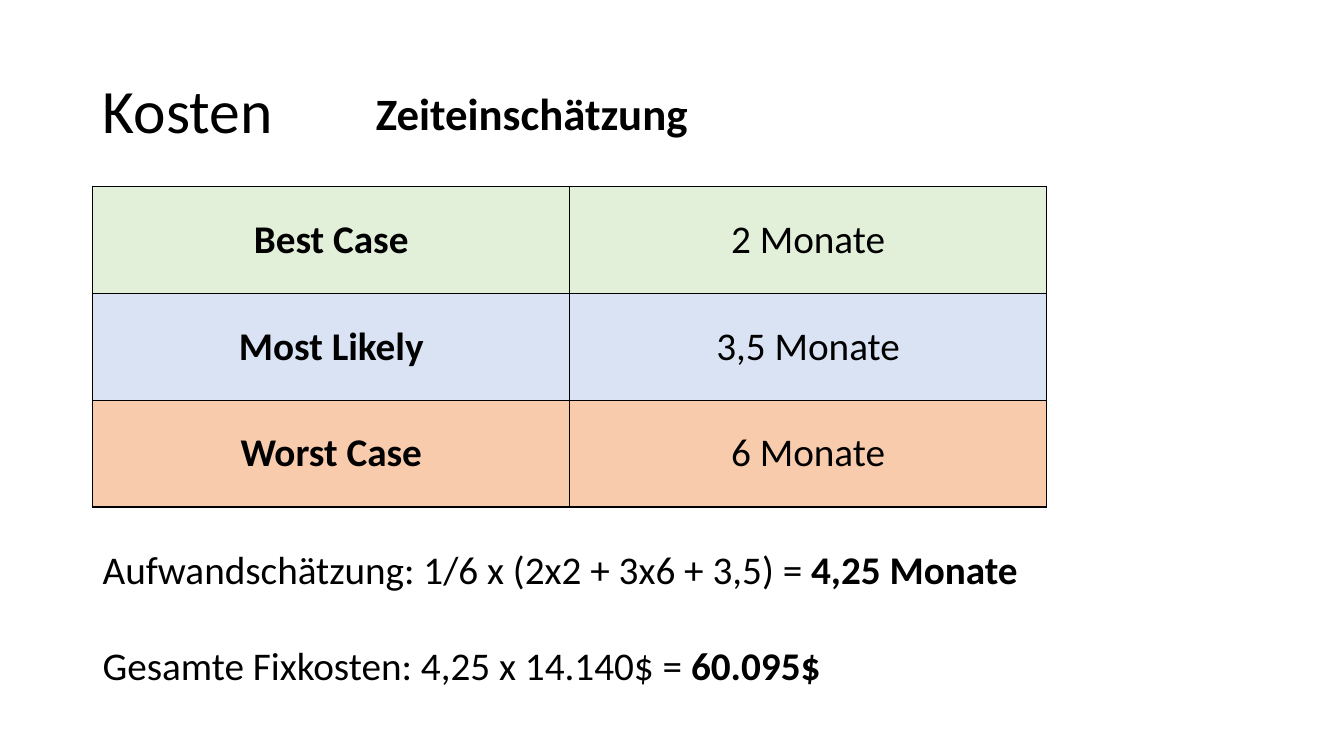
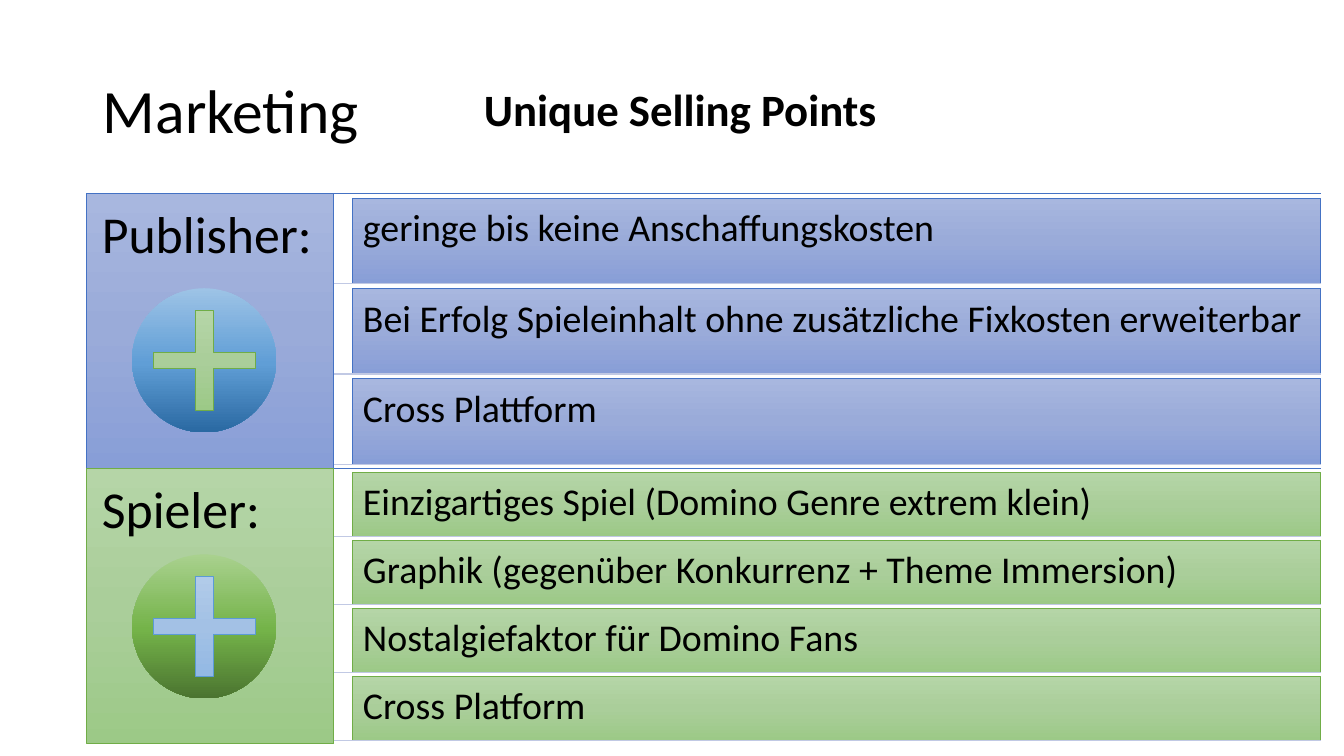
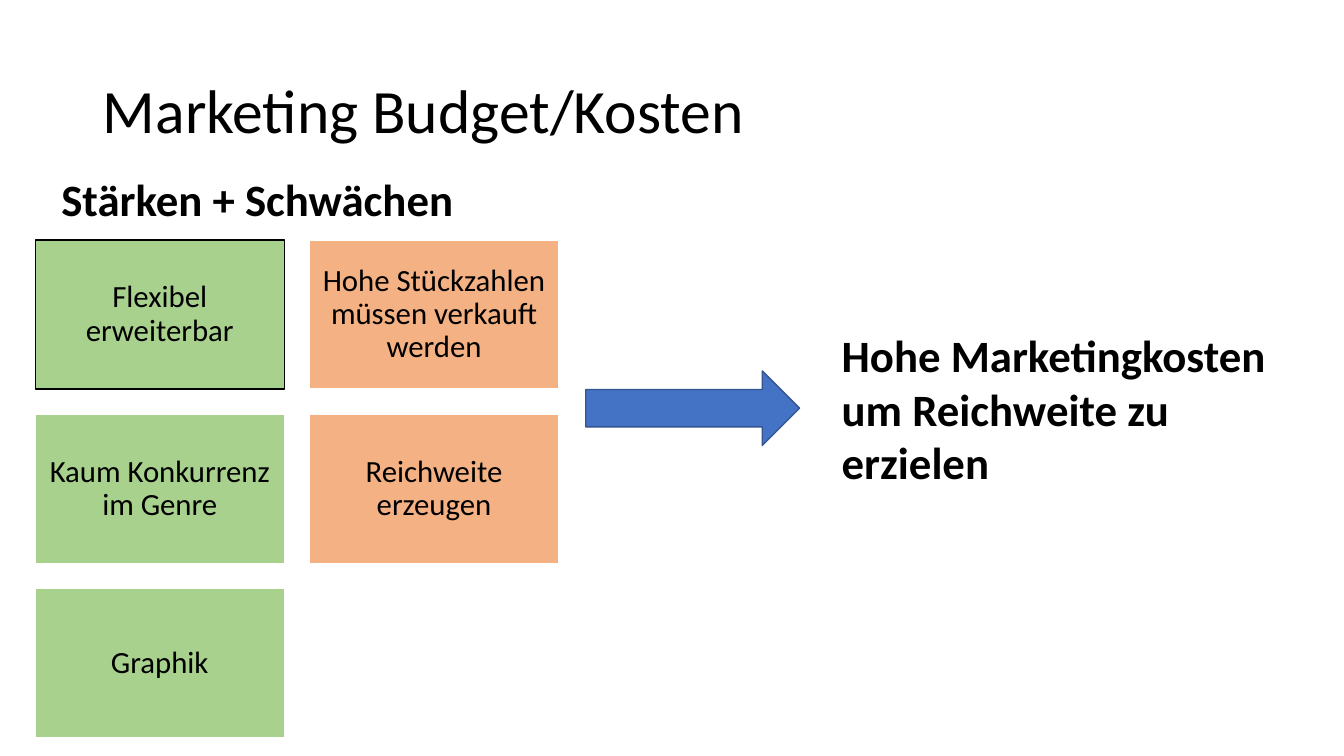
from copy import deepcopy
from dataclasses import dataclass

from lxml import etree
from pptx import Presentation
from pptx.dml.color import RGBColor
from pptx.enum.shapes import MSO_CONNECTOR, MSO_SHAPE
from pptx.enum.text import MSO_ANCHOR, MSO_AUTO_SIZE, PP_ALIGN
from pptx.oxml.ns import qn
from pptx.util import Inches, Pt

RECTANGLE, OVAL = MSO_SHAPE.RECTANGLE, MSO_SHAPE.OVAL
CROSS, RIGHT_ARROW = MSO_SHAPE.CROSS, MSO_SHAPE.RIGHT_ARROW
STRAIGHT = MSO_CONNECTOR.STRAIGHT
TOP, MIDDLE = MSO_ANCHOR.TOP, MSO_ANCHOR.MIDDLE
LEFT, CENTER = PP_ALIGN.LEFT, PP_ALIGN.CENTER
FIXED, GROW = MSO_AUTO_SIZE.NONE, MSO_AUTO_SIZE.SHAPE_TO_FIT_TEXT
TITLE_AND_BODY, TITLE_ONLY = 1, 5


@dataclass(frozen=True)
class Theme:
    font: str = "Calibri"
    text: str = "000000"
    white: str = "FFFFFF"
    best: str = "E2F0D9"
    likely: str = "DAE3F3"
    worst: str = "F8CBAD"
    strength: str = "A9D18E"
    weakness: str = "F4B183"
    blue: str = "4472C4"
    dark_blue: str = "325491"
    sky: str = "5B9BD5"
    green: str = "70AD47"
    divider: str = "C1C9E4"
    # Gradients run from top to bottom as (percent, colour).
    blue_fade: tuple = ((0, "A8B7DF"), (50, "9AABD9"), (100, "889ED7"))
    green_fade: tuple = ((0, "B5D5A7"), (50, "AACE9A"), (100, "9CC987"))
    sky_fade: tuple = ((0, "B1CBE9"), (50, "A3C1E5"), (100, "93B9E4"))
    blue_ball: tuple = ((0, "9DC3E6"), (52, "609ED6"), (100, "2A69A2"))
    green_ball: tuple = ((0, "A9D18E"), (52, "74B349"), (100, "4B7430"))
    title_size: float = 44
    tab_size: float = 37
    heading_size: float = 32
    body_size: float = 28
    bar_size: float = 27
    card_size: float = 22


def rgb(colour):
    return RGBColor.from_string(colour)


def place(shape, left, top, width, height):
    shape.left, shape.top = Inches(left), Inches(top)
    shape.width, shape.height = Inches(width), Inches(height)


class Deck:
    def __init__(self, theme):
        self.theme = theme
        self.prs = Presentation()
        self.prs.slide_width, self.prs.slide_height = Inches(13.33), Inches(7.5)
        self.slide = None

    def start(self, title, layout=TITLE_ONLY):
        """Add a slide and set its title."""
        self.slide = self.prs.slides.add_slide(self.prs.slide_layouts[layout])
        heading = self.slide.shapes.title
        place(heading, 0.92, 0.4, 11.5, 1.45)
        self.set_text(heading.text_frame, title, self.theme.title_size,
                      anchor=MIDDLE, spacing=0.9)

    def set_text(self, frame, text, size, bold=False, result="", align=LEFT,
                 anchor=TOP, spacing=1.0, inset=None, fit=FIXED):
        """Fill a frame with one paragraph; result is a bold ending."""
        frame.word_wrap, frame.auto_size = True, fit
        frame.vertical_anchor = anchor
        if inset is not None:
            frame.margin_left = frame.margin_right = Inches(inset)
            frame.margin_top = frame.margin_bottom = Inches(inset)
        frame.text = text
        paragraph = frame.paragraphs[0]
        paragraph.alignment, paragraph.line_spacing = align, spacing
        paragraph.space_before = Pt(0)
        if result:
            paragraph.add_run().text = result
        for index, run in enumerate(paragraph.runs):
            self.style(run.font, size, bold or index > 0)

    def style(self, font, size, bold):
        font.name, font.size, font.bold = self.theme.font, Pt(size), bold
        font.color.rgb = rgb(self.theme.text)

    def body_heading(self, text, left, top, width, height):
        """Use the body placeholder as a heading without a bullet."""
        body = self.slide.placeholders[1]
        place(body, left, top, width, height)
        self.set_text(body.text_frame, text, self.theme.heading_size, bold=True, spacing=0.9)
        properties = body.text_frame.paragraphs[0]._p.get_or_add_pPr()
        properties.set("marL", "0")
        properties.set("indent", "0")
        etree.SubElement(properties, qn("a:buNone"))

    def text_box(self, text, left, top, width, height, size, bold=False, result=""):
        box = self.slide.shapes.add_textbox(0, 0, 0, 0)
        place(box, left, top, width, height)
        self.set_text(box.text_frame, text, size, bold, result, fit=GROW)

    def heading(self, text, left, top, height=0.64):
        self.text_box(text, left, top, 4.77, height, self.theme.heading_size, bold=True)

    def shape(self, kind, left, top, width, height, fill, line=None, weight=1):
        """Add a shape; fill is one colour or a tuple of gradient stops."""
        shape = self.slide.shapes.add_shape(kind, 0, 0, 0, 0)
        place(shape, left, top, width, height)
        shape.shadow.inherit = False
        if isinstance(fill, str):
            shape.fill.solid()
            shape.fill.fore_color.rgb = rgb(fill)
        else:
            self.fade(shape, fill)
        if line:
            shape.line.color.rgb = rgb(line)
            shape.line.width = Pt(weight)
        else:
            shape.line.fill.background()
        return shape

    def fade(self, shape, stops):
        shape.fill.gradient()
        shape.fill.gradient_angle = 270
        stop_list = shape._element.spPr.find(".//" + qn("a:gsLst"))
        stop_list.insert(1, deepcopy(stop_list[0]))
        for stop, (percent, colour) in zip(shape.fill.gradient_stops, stops):
            stop.color.rgb = rgb(colour)
            stop.position = percent / 100

    def rule(self, left, right, y, colour):
        line = self.slide.shapes.add_connector(
            STRAIGHT, Inches(left), Inches(y), Inches(right), Inches(y))
        line.line.color.rgb = rgb(colour)
        line.line.width = Pt(1)
        etree.SubElement(line._element.spPr, qn("a:effectLst"))

    def table(self, rows, left, top, column_width, row_height):
        """Add rows of (label, value, fill)."""
        table = self.slide.shapes.add_table(
            len(rows), 2, Inches(left), Inches(top),
            Inches(2 * column_width), Inches(len(rows) * row_height)).table
        table.first_row = table.horz_banding = False
        for row, (label, value, fill) in zip(table.rows, rows):
            row.height = Inches(row_height)
            for cell, text, bold in zip(row.cells, (label, value), (True, False)):
                cell.text = text
                cell.vertical_anchor = MIDDLE
                paragraph = cell.text_frame.paragraphs[0]
                paragraph.alignment = CENTER
                self.style(paragraph.runs[0].font, self.theme.body_size, bold)
                self.border(cell)
                cell.fill.solid()
                cell.fill.fore_color.rgb = rgb(fill)

    def border(self, cell):
        properties = cell._tc.get_or_add_tcPr()
        for side in ("a:lnL", "a:lnR", "a:lnT", "a:lnB"):
            edge = etree.SubElement(properties, qn(side), w=str(Pt(1)))
            fill = etree.SubElement(edge, qn("a:solidFill"))
            etree.SubElement(fill, qn("a:srgbClr"), val=self.theme.text)

    def selling_points(self, audience, points, top, fade, outline):
        """Add a tab for the audience and evenly spaced bars beside it."""
        left, tab_width, right, height = 0.86, 2.45, 13.1, 2.73
        bar_left, gap_share = 3.49, 0.05
        self.rule(left, right, top, self.theme.blue)
        tab = self.shape(RECTANGLE, left, top, tab_width, height, fade, outline, 0.5)
        self.set_text(tab.text_frame, audience, self.theme.tab_size, spacing=0.9, inset=0.15)
        pitch = height / (len(points) + gap_share)
        for index, point in enumerate(points):
            bar_top = top + (index + gap_share) * pitch
            bar = self.shape(RECTANGLE, bar_left, bar_top, right - bar_left,
                             pitch * (1 - gap_share), fade, outline, 0.5)
            self.set_text(bar.text_frame, point, self.theme.bar_size, spacing=0.9, inset=0.11)
            self.rule(left + tab_width, right, top + (index + 1) * pitch, self.theme.divider)

    def plus_badge(self, top, ball_fade, plus_fade, outline):
        self.shape(OVAL, 1.31, top, 1.43, 1.43, ball_fade)
        plus = self.shape(CROSS, 1.52, top + 0.22, 1.01, 0.99, plus_fade, outline, 0.5)
        plus.adjustments[0] = 0.42

    def card(self, text, left, top, fill, outline):
        card = self.shape(RECTANGLE, left, top, 2.47, 1.48, fill, outline)
        self.set_text(card.text_frame, text, self.theme.card_size, align=CENTER,
                      anchor=MIDDLE, spacing=0.9, inset=0.09)


def add_costs(deck):
    theme = deck.theme
    deck.start("Kosten")
    deck.table([("Best Case", "2 Monate", theme.best),
                ("Most Likely", "3,5 Monate", theme.likely),
                ("Worst Case", "6 Monate", theme.worst)], 0.92, 1.85, 4.73, 1.06)
    deck.heading("Zeiteinschätzung", 3.63, 0.8)
    estimates = [("Aufwandschätzung: 1/6 x (2x2 + 3x6 + 3,5) = ", "4,25 Monate"),
                 ("Gesamte Fixkosten: 4,25 x 14.140$ = ", "60.095$")]
    for index, (formula, result) in enumerate(estimates):
        deck.text_box(formula, 0.92, 5.36 + index * 0.95, 10.18, 0.57,
                      theme.body_size, result=result)


def add_marketing(deck):
    theme = deck.theme
    deck.start("Marketing", TITLE_AND_BODY)
    deck.body_heading("Unique Selling Points", 4.7, 0.82, 6.17, 0.62)
    deck.selling_points("Publisher:", [
        "geringe bis keine Anschaffungskosten",
        "Bei Erfolg Spieleinhalt ohne zusätzliche Fixkosten erweiterbar",
        "Cross Plattform",
    ], 1.92, theme.blue_fade, theme.blue)
    deck.selling_points("Spieler:", [
        "Einzigartiges Spiel (Domino Genre extrem klein)",
        "Graphik (gegenüber Konkurrenz + Theme Immersion)",
        "Nostalgiefaktor für Domino Fans",
        "Cross Platform",
    ], 4.65, theme.green_fade, theme.green)
    deck.plus_badge(2.86, theme.blue_ball, theme.green_fade, theme.green)
    deck.plus_badge(5.5, theme.green_ball, theme.sky_fade, theme.sky)


def add_budget(deck):
    theme = deck.theme
    deck.start("Marketing Budget/Kosten")
    strengths = ["Flexibel erweiterbar", "Kaum Konkurrenz im Genre", "Graphik"]
    weaknesses = ["Hohe Stückzahlen müssen verkauft werden", "Reichweite erzeugen"]
    columns = [(strengths, theme.strength), (weaknesses, theme.weakness)]
    for column, (points, fill) in enumerate(columns):
        for row, point in enumerate(points):
            outline = theme.text if row == column == 0 else theme.white
            deck.card(point, 0.35 + column * 2.72, 2.38 + row * 1.73, fill, outline)
    deck.heading("Stärken + Schwächen", 0.51, 1.65)
    deck.shape(RIGHT_ARROW, 5.81, 3.68, 2.12, 0.74, theme.blue, theme.dark_blue)
    deck.heading("Hohe Marketingkosten um Reichweite zu erzielen", 8.25, 3.2, 1.72)


def main():
    deck = Deck(Theme())
    add_costs(deck)
    add_marketing(deck)
    add_budget(deck)
    deck.prs.save("out.pptx")


if __name__ == "__main__":
    main()
